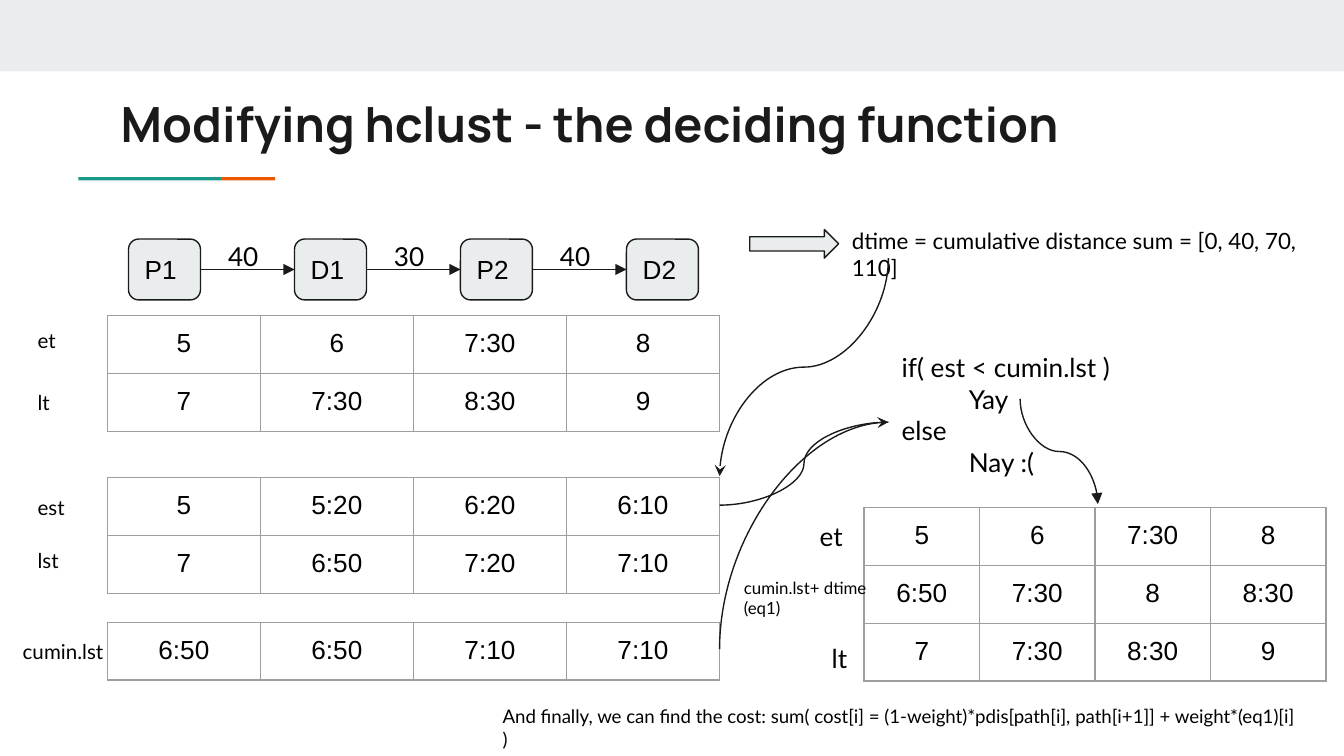
import math
from dataclasses import dataclass

import pptx
import pptx.util
import pptx.dml.color
import pptx.enum.shapes
import pptx.enum.text
import pptx.oxml
import pptx.oxml.ns

Cm, Pt = pptx.util.Cm, pptx.util.Pt
SHAPE = pptx.enum.shapes.MSO_SHAPE
CONN = pptx.enum.shapes.MSO_CONNECTOR
ALIGN = pptx.enum.text.PP_ALIGN
ANCHOR = pptx.enum.text.MSO_ANCHOR
NS = pptx.oxml.ns.nsdecls("a")


@dataclass(frozen=True)
class Theme:
    ink: str = "1A1A1A"
    text: str = "000000"
    panel: str = "E9EDEE"
    teal: str = "1A9988"
    orange: str = "EB5600"
    grid: str = "9E9E9E"
    head: str = "Manrope"
    body: str = "Lato"
    cell: str = "Arial"
    title: int = 26
    large: int = 14
    formula: int = 12
    label: int = 11
    cost: int = 10
    small: int = 9
    line: float = 0.75
    inset: float = 0.25


T = Theme()


def rgb(value):
    return pptx.dml.color.RGBColor.from_string(value)


# --- Text, shapes and connectors ---
def write(tf, lines, size, font=T.body, color=T.text, bold=False, align=None):
    frame = {"margin_left": Cm(T.inset), "margin_right": Cm(T.inset),
             "margin_top": Cm(T.inset), "margin_bottom": Cm(T.inset), "word_wrap": True}
    for name, value in frame.items():
        setattr(tf, name, value)
    for i, line in enumerate(lines):
        p = tf.paragraphs[0] if i == 0 else tf.add_paragraph()
        p.alignment = align
        r = p.add_run()
        r.text = line
        for name, value in {"size": Pt(size), "name": font, "bold": bold}.items():
            setattr(r.font, name, value)
        r.font.color.rgb = rgb(color)


def text(s, box, lines, size, **fmt):
    sp = s.shapes.add_textbox(*map(Cm, box))
    write(sp.text_frame, lines, size, **fmt)


def shape(s, kind, box, fill, outlined=False):
    sp = s.shapes.add_shape(kind, *map(Cm, box))
    sp.shadow.inherit = False
    sp.fill.solid()
    sp.fill.fore_color.rgb = rgb(fill)
    if outlined:
        sp.line.color.rgb = rgb(T.ink)
        sp.line.width = Pt(T.line)
    else:
        sp.line.fill.background()
    return sp


def connector(s, kind, start, end, head=None):
    sp = s.shapes.add_connector(kind, *map(Cm, (*start, *end)))
    sp.line.color.rgb = rgb(T.ink)
    sp.line.width = Pt(T.line)
    if head:
        sp.line._get_or_add_ln().append(
            pptx.oxml.parse_xml(f'<a:tailEnd {NS} type="{head}"/>'))
    sp._element.spPr.append(pptx.oxml.parse_xml(f"<a:effectLst {NS}/>"))
    return sp


def curve(s, start, end, rot=0, head=None, preset="curvedConnector3"):
    """Curve between two points; its frame is turned by rot degrees about the middle."""
    mx, my = (start[0] + end[0]) / 2, (start[1] + end[1]) / 2
    cos, sin = math.cos(math.radians(rot)), math.sin(math.radians(rot))

    def unturn(point):
        dx, dy = point[0] - mx, point[1] - my
        return mx + dx * cos + dy * sin, my - dx * sin + dy * cos

    sp = connector(s, CONN.CURVE, unturn(start), unturn(end), head)
    sp._element.spPr.prstGeom.set("prst", preset)
    if rot:
        sp._element.spPr.xfrm.set("rot", str(rot * 60000))


# --- Top band, title and two-colour rule ---
def header(s, box):
    x, y, w, h = box
    shape(s, SHAPE.RECTANGLE, (x, y, w, 1.35), T.panel)
    shape(s, SHAPE.RECTANGLE, (x + 1.48, y + 3.35, 2.7, 0.06), T.teal)
    shape(s, SHAPE.RECTANGLE, (x + 4.18, y + 3.35, 1.02, 0.06), T.orange)
    text(s, (x + 2.03, y + 1.52, 21.36, 1.5), ["Modifying hclust - the deciding function"],
         T.title, font=T.head, color=T.ink, bold=True)


# --- Chain of stops joined by arrows with distances ---
def route(s, box, stops, distances):
    x, y, w, h = box
    chip_w, chip_h = 1.36, 1.15
    pitch = (w - chip_w) / (len(stops) - 1)
    chips = []
    for i, stop in enumerate(stops):
        sp = shape(s, SHAPE.ROUNDED_RECTANGLE,
                   (x + i * pitch, y + h - chip_h, chip_w, chip_h), T.panel, True)
        write(sp.text_frame, [stop], T.large, font=T.cell, align=ALIGN.LEFT)
        sp.text_frame.vertical_anchor = ANCHOR.MIDDLE
        chips.append(sp)
    for i, distance in enumerate(distances):
        arrow = connector(s, CONN.STRAIGHT, (x, y), (x + 1, y), "triangle")
        arrow.begin_connect(chips[i], 3)
        arrow.end_connect(chips[i + 1], 1)
        text(s, (x + i * pitch + 1.63, y, 1.24, 0.61), [distance], T.large)


# --- Grid of times with row labels at its left ---
def timetable(s, box, rows, labels):
    x, y, w, h = box
    tbl = s.shapes.add_table(len(rows), len(rows[0]), *map(Cm, box)).table
    tbl.first_row = tbl.horz_banding = False
    for r, row in enumerate(rows):
        tbl.rows[r].height = Cm(h / len(rows))
        for c, value in enumerate(row):
            cell = tbl.cell(r, c)
            write(cell.text_frame, [value], T.large, font=T.cell, align=ALIGN.CENTER)
            for side in ("left", "right", "top", "bottom"):
                setattr(cell, f"margin_{side}", Cm(T.inset))
            tc_pr = cell._tc.get_or_add_tcPr()
            for edge in "LRTB":
                tc_pr.append(pptx.oxml.parse_xml(
                    f'<a:ln{edge} {NS} w="{Pt(T.line)}"><a:solidFill>'
                    f'<a:srgbClr val="{T.grid}"/></a:solidFill></a:ln{edge}>'))
            cell.fill.background()
    for label, dx, dy, label_w, size in labels:
        text(s, (x + dx, y + dy, label_w, 0.8), [label], size)


# --- Formula, decision and the curves that lead to them ---
def decision(s, box):
    x, y, w, h = box
    shape(s, SHAPE.RIGHT_ARROW, (x + 0.57, y + 0.3, 1.68, 0.54), T.panel, True)
    text(s, (x + 2.25, y, 9.65, 1.14),
         ["dtime = cumulative distance sum = [0, 40, 70, 110]"], T.formula)
    text(s, (x + 3.19, y + 2.36, 6.45, 3.15),
         ["if( est < cumin.lst )", "\tYay", "else", "\tNay :("], T.large)
    test = (x + 3.19, y + 3.94)
    curve(s, (x + 3.19, y + 0.84), (x, y + 4.96), 90, "stealth")
    curve(s, (x, y + 5.51), test, head="stealth")
    curve(s, (x, y + 8.23), test, 270, preset="curvedConnector2")
    curve(s, (x + 5.68, y + 3.5), (x + 7.15, y + 5.49), 270, "triangle")


# --- Closing cost formula ---
def cost_note(s, box):
    text(s, box, ["And finally, we can find the cost: sum( cost[i] = (1-weight)*pdis[path[i], "
                  "path[i+1]] + weight*(eq1)[i] )"], T.cost)


def main():
    prs = pptx.Presentation()
    prs.slide_width, prs.slide_height = Cm(25.4), Cm(14.29)
    s = prs.slides.add_slide(prs.slide_layouts[6])

    et, lt = ["5", "6", "7:30", "8"], ["7", "7:30", "8:30", "9"]
    header(s, (0, 0, 25.4, 3.5))
    route(s, (2.43, 4.29, 10.77, 1.38), ["P1", "D1", "P2", "D2"], ["40", "30", "40"])
    timetable(s, (2.03, 5.97, 11.57, 2.19), [et, lt],
              [("et", -1.57, 0, 1.35, T.label), ("lt", -1.57, 1.17, 1.35, T.label)])
    timetable(s, (2.03, 9.03, 11.57, 2.19),
              [["5", "5:20", "6:20", "6:10"], ["7", "6:50", "7:20", "7:10"]],
              [("est", -1.57, 0.09, 1.35, T.label), ("lst", -1.57, 1.1, 1.35, T.label)])
    timetable(s, (2.03, 11.76, 11.57, 1.07), [["6:50", "6:50", "7:10", "7:10"]],
              [("cumin.lst", -1.85, 0.08, 2.26, T.label)])
    decision(s, (13.6, 4.04, 11.8, 8.23))
    timetable(s, (16.33, 9.59, 8.73, 3.21), [et, ["6:50", "7:30", "8", "8:30"], lt],
              [("et", -1.09, -0.01, 1.02, T.large), ("lt", -0.86, 2.3, 0.86, T.large),
               ("cumin.lst+ dtime (eq1)", -2.52, 1.08, 3.02, T.small)])
    cost_note(s, (9.25, 13.08, 15.54, 1.21))
    prs.save("out.pptx")


if __name__ == "__main__":
    main()
